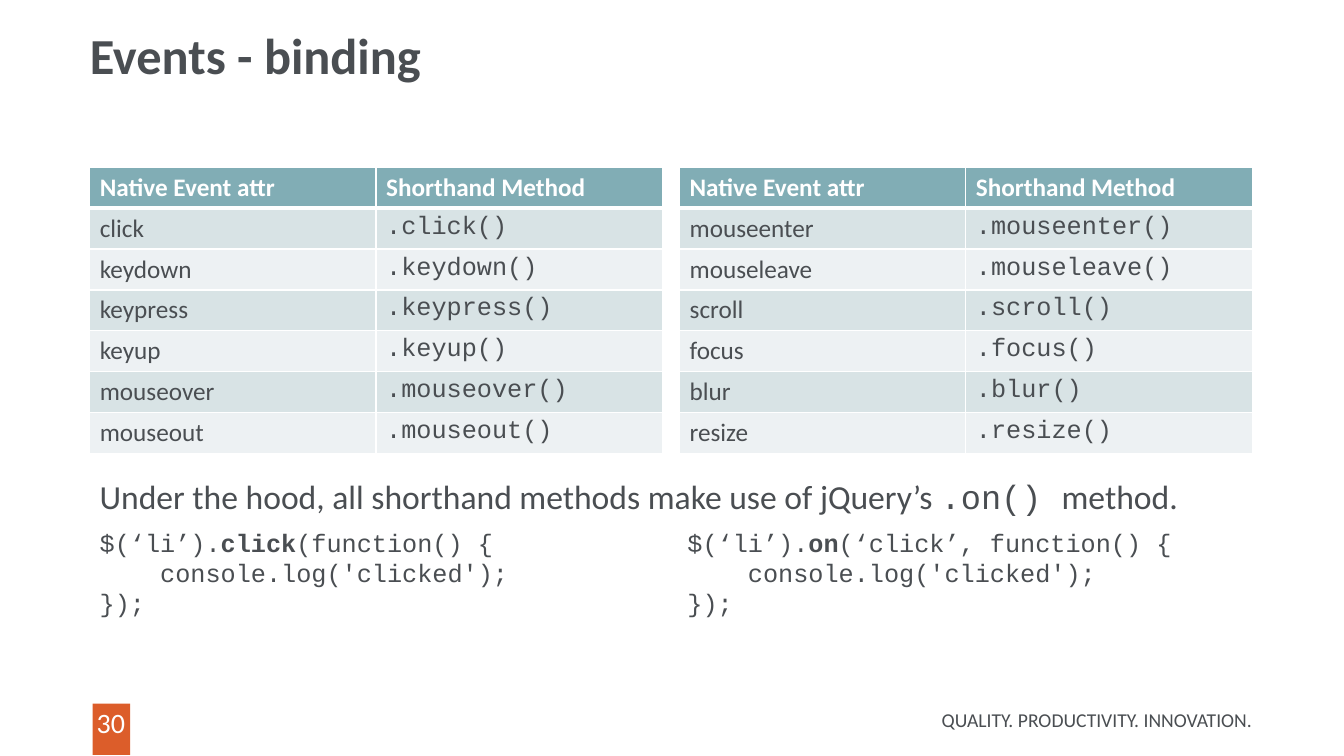
from lxml.etree import SubElement
from pptx import Presentation
from pptx.dml.color import RGBColor
from pptx.enum.shapes import MSO_SHAPE
from pptx.enum.text import MSO_ANCHOR, PP_ALIGN
from pptx.oxml.ns import qn
from pptx.util import Inches, Pt

SANS, MONO = "Calibri", "Courier New"
DARK, WHITE, ORANGE, TEAL = "4A4E52", "FFFFFF", "DC5D2A", "81ADB5"
BANDS = ("D8E3E5", "EDF1F3")
LEFT = 0.89
HEADERS = ("Native Event attr", "Shorthand Method")
KEY_EVENTS = ("click", "keydown", "keypress", "keyup", "mouseover", "mouseout")
OTHER_EVENTS = ("mouseenter", "mouseleave", "scroll", "focus", "blur", "resize")


def set_fill(target, color):
    target.fill.solid()
    target.fill.fore_color.rgb = RGBColor.from_string(color)


def add_run(p, text, size, font=SANS, color=DARK, bold=False):
    r = p.add_run()
    r.text = text
    r.font.size = Pt(size)
    r.font.name = font
    r.font.bold = bold
    r.font.color.rgb = RGBColor.from_string(color)


def add_textbox(s, x, y, w, h, insets=(0.1, 0.05, 0.1, 0.05)):
    """Add an empty wrapping text box; insets are left, top, right, bottom."""
    tf = s.shapes.add_textbox(Inches(x), Inches(y), Inches(w), Inches(h)).text_frame
    tf.word_wrap = True
    tf.margin_left, tf.margin_top, tf.margin_right, tf.margin_bottom = map(Inches, insets)
    return tf


def set_borders(cell, bottom):
    """Draw white cell borders, 1 pt except for the bottom one."""
    tc_pr = cell._tc.get_or_add_tcPr()
    widths = {"a:lnL": 1, "a:lnR": 1, "a:lnT": 1, "a:lnB": bottom}
    for i, (tag, width) in enumerate(widths.items()):
        ln = SubElement(tc_pr, qn(tag), w=str(Pt(width)))
        fill = SubElement(ln, qn("a:solidFill"))
        SubElement(fill, qn("a:srgbClr"), val=WHITE)
        tc_pr.insert(i, ln)


def add_event_table(s, x, events):
    rows = [HEADERS] + [(event, f".{event}()") for event in events]
    col_w, row_h = 2.84, 2.84 / len(rows)
    table = s.shapes.add_table(len(rows), 2, Inches(x), Inches(1.66),
                               Inches(2 * col_w), Inches(row_h * len(rows))).table
    for col in table.columns:
        col.width = Inches(col_w)
    for i, row in enumerate(rows):
        header = i == 0
        for j, text in enumerate(row):
            cell = table.cell(i, j)
            set_fill(cell, TEAL if header else BANDS[(i - 1) % 2])
            set_borders(cell, 3 if header else 1)
            add_run(cell.text_frame.paragraphs[0], text, 18,
                    MONO if j and not header else SANS,
                    WHITE if header else DARK, header)


def add_code(s, x, w, method, rest):
    """Show a jQuery handler with its method name in bold."""
    tf = add_textbox(s, x, 5.18, w, 1.01)
    p = tf.paragraphs[0]
    add_run(p, "$(‘li’).", 18, MONO)
    add_run(p, method, 18, MONO, bold=True)
    add_run(p, rest, 18, MONO)
    p = tf.add_paragraph()
    p._p.get_or_add_pPr().set("marL", str(Inches(0.6)))
    add_run(p, "console.log('clicked');", 18, MONO)
    add_run(tf.add_paragraph(), "});", 18, MONO)


def add_title(s, text):
    p = add_textbox(s, LEFT, 0.26, 9.31, 1.19, (0, 0.05, 0.1, 0.05)).paragraphs[0]
    p.line_spacing = 0.9
    add_run(p, text, 36, bold=True)


def add_summary(s):
    p = add_textbox(s, LEFT, 4.67, 11.53, 0.5).paragraphs[0]
    add_run(p, "Under the hood, all shorthand methods make use of jQuery’s ", 24)
    add_run(p, ".on() ", 24, MONO)
    add_run(p, "method.", 24)


def add_footer(s, number, motto):
    sp = s.shapes.add_shape(MSO_SHAPE.RECTANGLE, Inches(0.92), Inches(6.98),
                            Inches(0.37), Inches(0.51))
    sp.shadow.inherit = False
    set_fill(sp, ORANGE)
    sp.line.fill.background()
    p = add_textbox(s, 0.86, 7, 0.48, 0.34, (0, 0, 0, 0)).paragraphs[0]
    p.alignment = PP_ALIGN.CENTER
    add_run(p, number, 20, color=WHITE)

    tf = add_textbox(s, 8.35, 6.94, 4.07, 0.4, (0, 0, 0, 0))
    tf.vertical_anchor = MSO_ANCHOR.MIDDLE
    p = tf.paragraphs[0]
    p.alignment = PP_ALIGN.RIGHT
    add_run(p, motto, 14)


def main():
    prs = Presentation()
    prs.slide_width, prs.slide_height = Inches(13.33), Inches(7.5)
    s = prs.slides.add_slide(prs.slide_layouts[6])
    add_title(s, "Events - binding")
    add_event_table(s, LEFT, KEY_EVENTS)
    add_event_table(s, 6.74, OTHER_EVENTS)
    add_summary(s)
    add_code(s, LEFT, 5.59, "click", "(function() {")
    add_code(s, 6.72, 5.7, "on", "(‘click’, function() {")
    add_footer(s, "30", "QUALITY. PRODUCTIVITY. INNOVATION.")
    prs.save("out.pptx")


if __name__ == "__main__":
    main()
